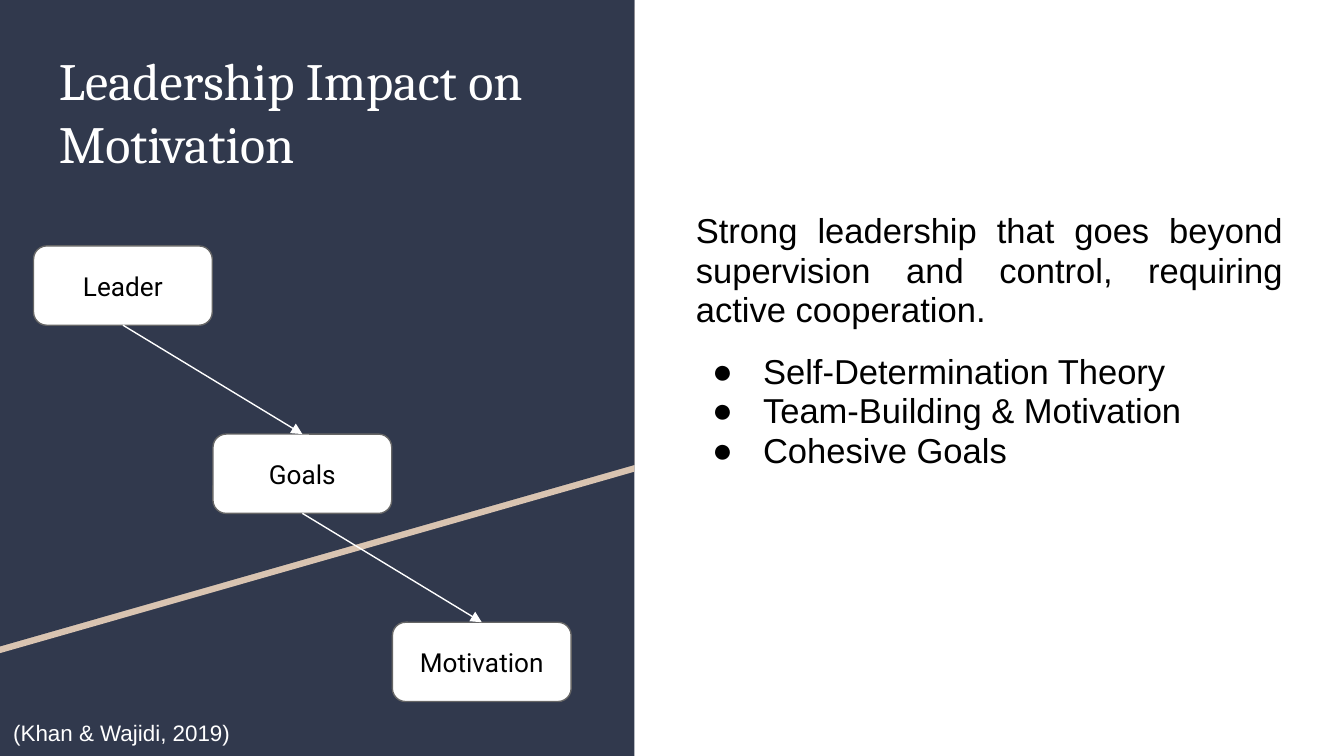
from lxml import etree
from pptx import Presentation
from pptx.dml.color import RGBColor
from pptx.enum.shapes import MSO_CONNECTOR, MSO_SHAPE
from pptx.enum.text import MSO_ANCHOR, PP_ALIGN
from pptx.oxml.ns import qn
from pptx.util import Inches, Pt

RECT, ROUNDED = MSO_SHAPE.RECTANGLE, MSO_SHAPE.ROUNDED_RECTANGLE
STRAIGHT = MSO_CONNECTOR.STRAIGHT
TOP, MIDDLE = MSO_ANCHOR.TOP, MSO_ANCHOR.MIDDLE
LEFT, CENTER, JUSTIFY = PP_ALIGN.LEFT, PP_ALIGN.CENTER, PP_ALIGN.JUSTIFY

NAVY, SAND, WHITE, BLACK, GRAY = "31394D", "D9C4B1", "FFFFFF", "000000", "666666"
SLIDE_W = 10
SLIDE_H = SLIDE_W * 9 / 16
PANEL_W = 4.72
STEPS = ["Leader", "Goals", "Motivation"]
STEP_X, STEP_Y, STEP_W, STEP_H = 0.25, 1.83, 1.33, 0.59
STEP_DX, STEP_DY = 1.335, 1.4
INTRO = ("Strong leadership that goes beyond supervision and control, "
         "requiring active cooperation.")
TOPICS = ["Self-Determination Theory", "Team-Building & Motivation", "Cohesive Goals"]


def color(value):
    """Turn a hex string into a colour."""
    return RGBColor.from_string(value)


def paint(shape, fill, line=None):
    """Give a shape a flat fill and an optional thin outline."""
    shape.shadow.inherit = False
    shape.fill.solid()
    shape.fill.fore_color.rgb = color(fill)
    if line:
        shape.line.color.rgb = color(line)
        shape.line.width = Pt(0.75)
    else:
        shape.line.fill.background()


def write(shape, lines, font, size, ink, align=LEFT, anchor=TOP):
    """Fill a shape with evenly styled paragraphs and return them."""
    tf = shape.text_frame
    tf.text = "\n".join(lines)
    tf.word_wrap = True
    tf.vertical_anchor = anchor
    tf.margin_left = tf.margin_right = tf.margin_top = tf.margin_bottom = Inches(0.1)
    for p in tf.paragraphs:
        p.alignment = align
        for r in p.runs:
            r.font.name = font
            r.font.size = Pt(size)
            r.font.color.rgb = color(ink)
    return tf.paragraphs


def add_text(s, x, y, w, h, *style):
    """Add a text box and return it with its paragraphs."""
    box = s.shapes.add_textbox(Inches(x), Inches(y), Inches(w), Inches(h))
    return box, write(box, *style)


def add_polygon(s, points, fill):
    """Add a filled polygon through points given in inches."""
    start, *rest = [(Inches(x), Inches(y)) for x, y in points]
    builder = s.shapes.build_freeform(*start)
    builder.add_line_segments(rest, close=True)
    paint(builder.convert_to_shape(), fill)


def add_panel(s):
    """Draw the dark left panel with its slanted stripe."""
    panel = s.shapes.add_shape(RECT, 0, 0, Inches(PANEL_W), Inches(SLIDE_H))
    paint(panel, NAVY)
    for top, fill in [(0.05, SAND), (0, NAVY)]:
        add_polygon(s, [(0, top), (PANEL_W, top), (PANEL_W, top + 3.46),
                        (0, top + 4.81)], fill)


def add_step(s, x, y, label):
    """Add one rounded box of the flow."""
    step = s.shapes.add_shape(ROUNDED, Inches(x), Inches(y),
                              Inches(STEP_W), Inches(STEP_H))
    paint(step, WHITE, GRAY)
    write(step, [label], "Roboto", 14, BLACK, CENTER, MIDDLE)
    return step


def add_arrow(s, source, target):
    """Link the bottom of one step to the top of the next."""
    arrow = s.shapes.add_connector(STRAIGHT, 0, 0, 0, 0)
    arrow.begin_connect(source, 2)
    arrow.end_connect(target, 0)
    arrow.line.color.rgb = color(WHITE)
    arrow.line.width = Pt(0.75)
    line = arrow._element.spPr.find(qn("a:ln"))
    etree.SubElement(line, qn("a:tailEnd"), type="triangle")
    etree.SubElement(arrow._element.spPr, qn("a:effectLst"))


def add_bullet(p):
    """Give a paragraph a hanging black bullet."""
    pPr = p._p.get_or_add_pPr()
    pPr.set("marL", str(Inches(0.5)))
    pPr.set("indent", str(Inches(-0.38)))
    bullet_color = etree.SubElement(pPr, qn("a:buClr"))
    etree.SubElement(bullet_color, qn("a:srgbClr"), val=BLACK)
    etree.SubElement(pPr, qn("a:buFont"), typeface="Arial")
    etree.SubElement(pPr, qn("a:buChar"), char="●")


def add_body(s):
    """Add the statement and its bulleted topics."""
    box, paragraphs = add_text(s, 5.08, 0.55, 4.56, 4.48, [INTRO, *TOPICS],
                               "Arial", 18.5, BLACK, JUSTIFY)
    box.text_frame.margin_top = Inches(1.03)
    for p in paragraphs:
        p.line_spacing = 0.95
    paragraphs[1].space_before = Pt(12)
    for p in paragraphs[1:]:
        add_bullet(p)


def main():
    """Build and save the slide."""
    prs = Presentation()
    prs.slide_width, prs.slide_height = Inches(SLIDE_W), Inches(SLIDE_H)
    s = prs.slides.add_slide(prs.slide_layouts[6])
    add_panel(s)
    add_body(s)
    add_text(s, 0.34, 0.26, 4.05, 2.74, ["Leadership Impact on Motivation"],
             "Cambria", 28, WHITE)
    _, citation = add_text(s, 0, 5.22, 6.56, 0.4, ["(Khan & Wajidi, 2019)"],
                           "Arial", 12, WHITE, JUSTIFY)
    citation[0].line_spacing = 1.15
    citation[0].space_after = Pt(12)
    steps = [add_step(s, STEP_X + i * STEP_DX, STEP_Y + i * STEP_DY, label)
             for i, label in enumerate(STEPS)]
    for source, target in zip(steps, steps[1:]):
        add_arrow(s, source, target)
    prs.save("out.pptx")


if __name__ == "__main__":
    main()
